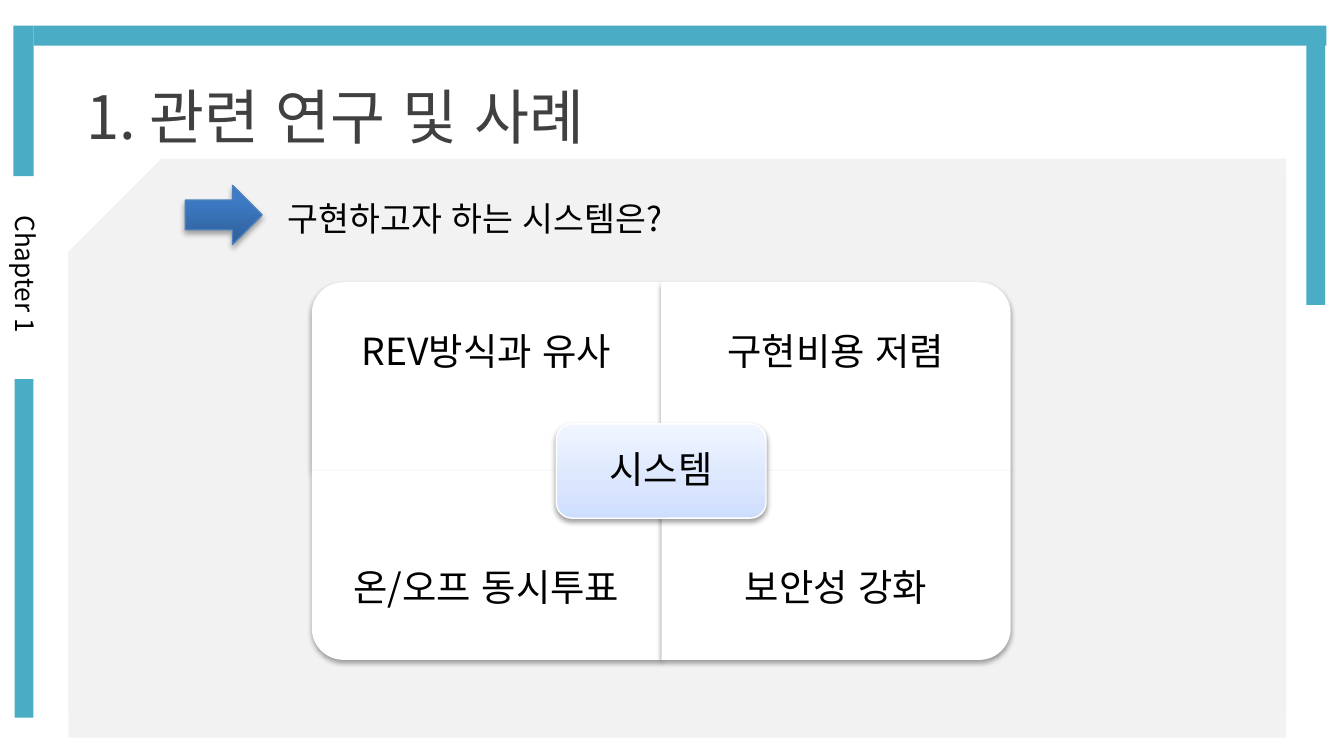
from lxml import etree
from pptx import Presentation
from pptx.dml.color import RGBColor
from pptx.enum.lang import MSO_LANGUAGE_ID as Language
from pptx.enum.shapes import MSO_SHAPE as Preset
from pptx.enum.text import MSO_ANCHOR as Anchor, PP_ALIGN as Align
from pptx.oxml.ns import qn
from pptx.util import Inches, Pt

FONT = "Noto Sans CJK KR"
TEAL, GREY, WHITE, BLACK = "4BACC6", "F2F2F2", "FFFFFF", "000000"


def color(value):
    """Turn a hex string into a colour."""
    return RGBColor.from_string(value)


def place(shape, box):
    """Put a shape at left, top, width, height in inches."""
    shape.left, shape.top, shape.width, shape.height = map(Inches, box)


def format_text(shape, text, size, font_color=BLACK, align=Align.LEFT,
                anchor=Anchor.TOP, inset=None, spacing=None):
    """Write one paragraph into a shape and style it."""
    frame = shape.text_frame
    frame.text = text
    frame.word_wrap = True
    frame.vertical_anchor = anchor
    if inset is not None:
        frame.margin_left = frame.margin_right = Inches(inset)
        frame.margin_top = frame.margin_bottom = Inches(inset)
    paragraph = frame.paragraphs[0]
    paragraph.alignment = align
    paragraph.line_spacing = spacing
    font = paragraph.runs[0].font
    font.size, font.name = Pt(size), FONT
    font.language_id = Language.KOREAN
    font.color.rgb = color(font_color)
    etree.SubElement(font._element, qn("a:ea"), typeface=FONT)


def add_text(shapes, box, text, size, **style):
    """Add a text box."""
    shape = shapes.add_textbox(*map(Inches, box))
    format_text(shape, text, size, **style)
    return shape


def add_block(shapes, preset, box, fill=WHITE, line=None, rotation=0):
    """Add a preset shape with a solid fill (hex) or gradient (list of stops)."""
    shape = shapes.add_shape(preset, *map(Inches, box))
    shape.shadow.inherit = False
    shape.rotation = rotation
    if isinstance(fill, str):
        shape.fill.solid()
        shape.fill.fore_color.rgb = color(fill)
    else:
        set_gradient(shape, fill)
    if line:
        shape.line.color.rgb = color(line)
        shape.line.width = Pt(0.75)
    else:
        shape.line.fill.background()
    return shape


def set_gradient(shape, stops):
    """Fill a shape from bottom to top with (percent, hex) stops."""
    shape.fill.gradient()
    shape.fill.gradient_angle = 90
    stop_list = shape._element.spPr.find(".//" + qn("a:gsLst"))
    for old_stop in list(stop_list):
        stop_list.remove(old_stop)
    for percent, value in stops:
        stop = etree.SubElement(stop_list, qn("a:gs"), pos=str(percent * 1000))
        etree.SubElement(stop, qn("a:srgbClr"), val=value)


def add_shadow(shape, opacity=38, distance=1.6):
    """Give a shape a soft shadow straight below it."""
    effects = shape._element.spPr.find(qn("a:effectLst"))
    shadow = etree.SubElement(
        effects, qn("a:outerShdw"), blurRad=str(Pt(3.1)), dist=str(Pt(distance)),
        dir="5400000", rotWithShape="0")
    shade = etree.SubElement(shadow, qn("a:srgbClr"), val=BLACK)
    etree.SubElement(shade, qn("a:alpha"), val=str(opacity * 1000))


def add_frame(shapes):
    """Draw the grey panel, its cut corner, the teal border and chapter mark."""
    for panel in ((0.51, 1.18, 9.06, 4.13), (0.51, 1.31, 9.06, 4.18)):
        add_block(shapes, Preset.RECTANGLE, panel, GREY)
    chapter = add_text(shapes, (-0.67, 1.87, 1.72, 0.34), "Chapter 1", 14,
                       align=Align.CENTER)
    chapter.rotation = 90
    bars = ((0.1, 0.19, 0.15, 1.12), (0.11, 2.82, 0.14, 2.52),
            (0.25, 0.19, 9.62, 0.15), (9.72, 0.24, 0.14, 2.03))
    for bar in bars:
        add_block(shapes, Preset.RECTANGLE, bar, TEAL)
    add_block(shapes, Preset.RIGHT_TRIANGLE, (0.48, 0.72, 1.18, 1.18), rotation=90)


def add_title(slide, box, text):
    """Place the title in front of the frame."""
    title = slide.shapes.title
    place(title, box)
    format_text(title, text, 32, font_color="404040", anchor=Anchor.MIDDLE)
    slide.shapes._spTree.append(title._element)


def add_matrix(shapes, box, labels, center_label):
    """Draw four quadrants, rounded outwards, around a central button."""
    left, top, width, height = box
    cell_width, cell_height = width / 2, height / 2
    label_height = cell_height * 0.75
    for index, (label, rotation) in enumerate(zip(labels, (270, 0, 180, 90))):
        row, column = divmod(index, 2)
        x, y = left + column * cell_width, top + row * cell_height
        cell = (x, y, cell_width, cell_height)
        if rotation in (90, 270):
            offset = (cell_width - cell_height) / 2
            cell = (x + offset, y - offset, cell_height, cell_width)
        add_shadow(add_block(shapes, Preset.ROUND_1_RECTANGLE, cell,
                             rotation=rotation))
        label_top = y + row * (cell_height - label_height)
        add_text(shapes, (x, label_top, cell_width, label_height), label, 20,
                 align=Align.CENTER, anchor=Anchor.MIDDLE, inset=0.16, spacing=0.9)

    button_width, button_height = cell_width * 0.6, cell_height / 2
    button = add_block(
        shapes, Preset.ROUNDED_RECTANGLE,
        (left + (width - button_width) / 2, top + (height - button_height) / 2,
         button_width, button_height),
        [(0, "CDDDFE"), (35, "DBE6FE"), (100, "F0F5FF")], line=WHITE)
    add_shadow(button)
    format_text(button, center_label, 20, align=Align.CENTER,
                anchor=Anchor.MIDDLE, inset=0.08, spacing=0.9)


def add_question(shapes, box, text):
    """Draw the arrow and the question to its right."""
    left, top, width, height = box
    arrow = add_block(shapes, Preset.RIGHT_ARROW, (left, top, 0.57, height),
                      [(0, "2F5F99"), (80, "3D7CC7"), (100, "3A7CCB")],
                      line="4B7EBC")
    add_shadow(arrow, opacity=35, distance=1.8)
    add_text(shapes, (left + 0.66, top + 0.04, width - 0.66, 0.4), text, 18)


def main():
    """Build and save the slide."""
    presentation = Presentation()
    presentation.slide_width = Inches(10)
    presentation.slide_height = Inches(10 * 9 / 16)
    slide = presentation.slides.add_slide(presentation.slide_layouts[5])
    add_frame(slide.shapes)
    add_title(slide, (0.54, 0.34, 5.32, 1.04), "1. 관련 연구 및 사례")
    matrix = slide.shapes.add_group_shape()
    add_matrix(matrix.shapes, (2.32, 2.1, 5.2, 2.81),
               ("REV방식과 유사", "구현비용 저렴", "온/오프 동시투표", "보안성 강화"),
               "시스템")
    add_question(slide.shapes, (1.38, 1.38, 5.54, 0.44), "구현하고자 하는 시스템은?")
    presentation.save("out.pptx")


main()
